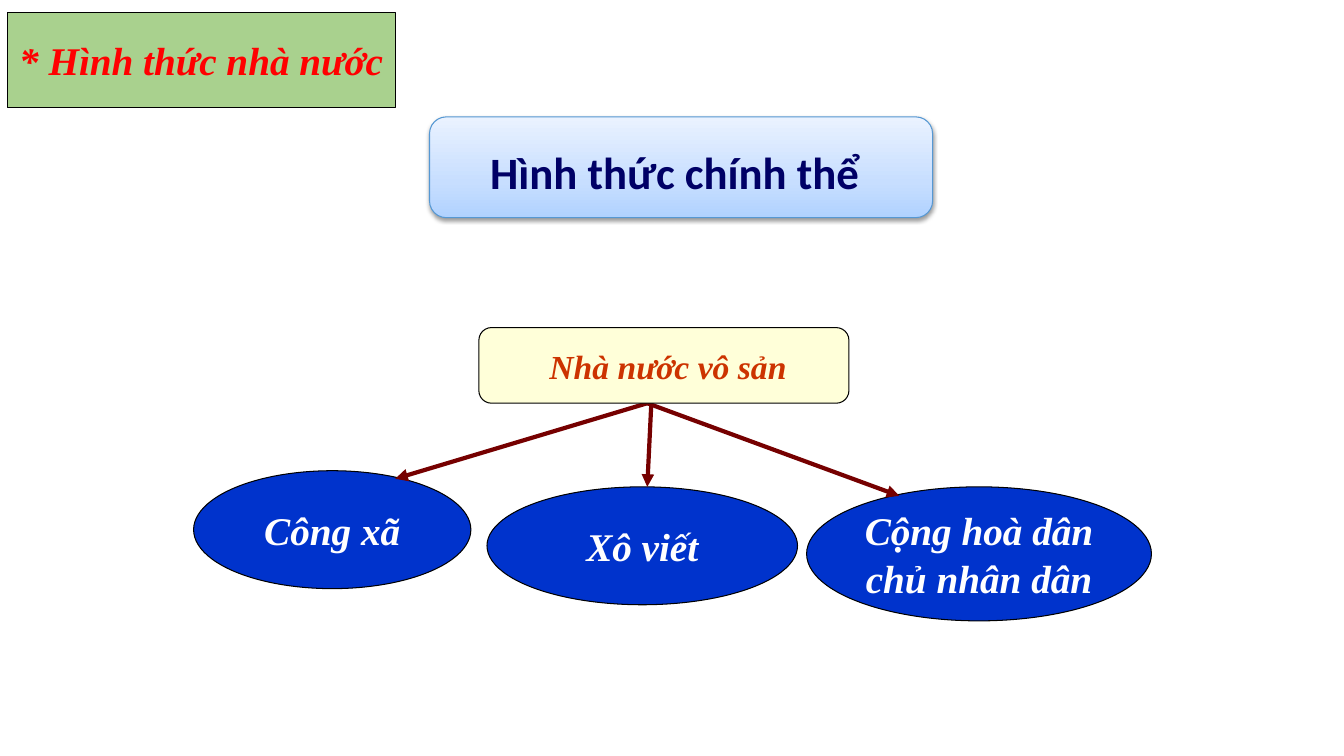
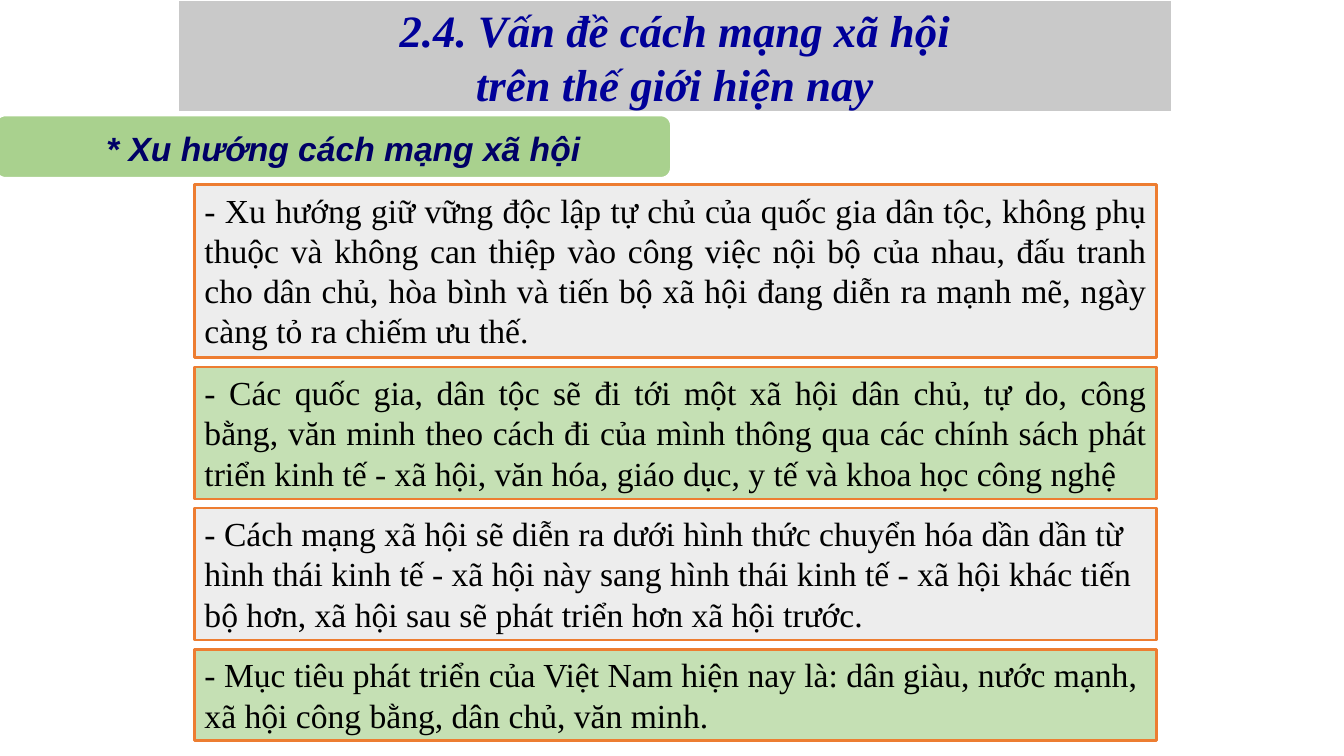
"""Build two slides on forms of the state and trends of social revolution."""
from copy import deepcopy
from dataclasses import dataclass

from lxml.etree import SubElement
from pptx import Presentation
from pptx.dml.color import RGBColor
from pptx.enum.shapes import MSO_CONNECTOR, MSO_SHAPE as Preset
from pptx.enum.text import MSO_ANCHOR as Anchor, MSO_AUTO_SIZE as AutoSize, PP_ALIGN as Align
from pptx.oxml.ns import qn
from pptx.presentation import Presentation as Deck
from pptx.shapes.autoshape import Shape
from pptx.shapes.connector import Connector
from pptx.slide import Slide
from pptx.util import Emu, Inches, Pt

SERIF = "Times New Roman"
GREEN, PALE_GREEN, PALE_GRAY = "A9D18E", "C5E0B4", "EDEDED"
NAVY, WHITE, BLACK, ORANGE = "000066", "FFFFFF", "000000", "ED7D31"
TITLE_ONLY = 5


@dataclass(frozen=True)
class Frame:
    """Place of an element in inches."""
    left: float
    top: float
    width: float
    height: float

    def lengths(self) -> tuple[Emu, ...]:
        """Return the four lengths for a shape."""
        return tuple(Inches(v) for v in (self.left, self.top, self.width, self.height))


@dataclass(frozen=True)
class Look:
    """Fill, outline and text format of a box."""
    fill: str
    line: str
    line_width: float
    size: int
    color: str
    font: str = SERIF
    bold: bool = True
    italic: bool = True
    align: Align = Align.CENTER
    anchor: Anchor = Anchor.MIDDLE
    wrap: bool = False
    insets: tuple[float, float, float, float] = (0.1, 0.05, 0.1, 0.05)


@dataclass(frozen=True)
class Oval:
    """A kind of proletarian state and the arrow that leads to it."""
    lines: tuple[str, ...]
    frame: Frame
    arrow_start: tuple[float, float]
    arrow_end: tuple[float, float]


@dataclass(frozen=True)
class Panel:
    """One trend statement."""
    text: str
    height: float
    fill: str
    align: Align


FORM_TITLE = Look(GREEN, BLACK, 0.75, 28, "FF0000")
POLITY = Look("C7DEFF", "5698D3", 0.75, 32, NAVY, "Calibri", italic=False,
              insets=(0.1, 0.13, 0.22, 0.05))
STATE = Look("FFFFD9", BLACK, 0.75, 24, "CC3300", insets=(0.18, 0.07, 0.1, 0.05))
OVAL = Look("0033CC", BLACK, 0.75, 28, WHITE)
TREND_TITLE = Look("C9C9C9", WHITE, 2, 32, "000099", wrap=True, insets=(0.24, 0, 0.24, 0))
TREND_HEADING = Look(GREEN, WHITE, 2, 24, NAVY, "Arial", wrap=True,
                     insets=(0.44, 0.03, 0.24, 0))

OVALS = (
    Oval(("Công xã",), Frame(1.92, 4.67, 2.75, 1.17), (6.42, 4), (3.92, 4.75)),
    Oval(("Xô viết",), Frame(4.83, 4.83, 3.08, 1.17), (6.46, 4), (6.42, 4.83)),
    Oval(("Cộng hoà dân", "chủ nhân dân"), Frame(8, 4.83, 3.42, 1.33), (6.42, 4), (8.92, 4.92)),
)
PANELS = (
    Panel("- Xu hướng giữ vững độc lập tự chủ của quốc gia dân tộc, không phụ thuộc và không "
          "can thiệp vào công việc nội bộ của nhau, đấu tranh cho dân chủ, hòa bình và tiến bộ "
          "xã hội đang diễn ra mạnh mẽ, ngày càng tỏ ra chiếm ưu thế.",
          1.72, PALE_GRAY, Align.JUSTIFY),
    Panel("- Các quốc gia, dân tộc sẽ đi tới một xã hội dân chủ, tự do, công bằng, văn minh "
          "theo cách đi của mình thông qua các chính sách phát triển kinh tế - xã hội, văn hóa, "
          "giáo dục, y tế và khoa học công nghệ",
          1.31, PALE_GREEN, Align.JUSTIFY),
    Panel("- Cách mạng xã hội sẽ diễn ra dưới hình thức chuyển hóa dần dần từ hình thái kinh tế "
          "- xã hội này sang hình thái kinh tế - xã hội khác tiến bộ hơn, xã hội sau sẽ phát "
          "triển hơn xã hội trước.",
          1.31, PALE_GRAY, Align.LEFT),
    Panel("- Mục tiêu phát triển của Việt Nam hiện nay là: dân giàu, nước mạnh, xã hội công "
          "bằng, dân chủ, văn minh.",
          0.91, PALE_GREEN, Align.LEFT),
)
PANEL_LEFT, PANEL_TOP, PANEL_WIDTH, PANEL_GAP = 1.93, 1.83, 9.54, 0.09


def rgb(color: str) -> RGBColor:
    """Turn a hex string into a colour."""
    return RGBColor.from_string(color)


def dress(box: Shape, look: Look, lines: tuple[str, ...]) -> None:
    """Apply a look to a box and write its lines."""
    box.shadow.inherit = False
    box.fill.solid()
    box.fill.fore_color.rgb = rgb(look.fill)
    box.line.color.rgb = rgb(look.line)
    box.line.width = Pt(look.line_width)
    frame = box.text_frame
    frame.auto_size = AutoSize.NONE
    frame.word_wrap = look.wrap
    frame.vertical_anchor = look.anchor
    (frame.margin_left, frame.margin_top,
     frame.margin_right, frame.margin_bottom) = (Inches(v) for v in look.insets)
    for index, line in enumerate(lines):
        paragraph = frame.add_paragraph() if index else frame.paragraphs[0]
        paragraph.alignment = look.align
        run = paragraph.add_run()
        run.text = line
        font = run.font
        font.name, font.size = look.font, Pt(look.size)
        font.bold, font.italic = look.bold, look.italic
        font.color.rgb = rgb(look.color)


def add_box(slide: Slide, preset: Preset, frame: Frame, look: Look, *lines: str) -> Shape:
    """Add a preset shape with text."""
    box = slide.shapes.add_shape(preset, *frame.lengths())
    dress(box, look, lines)
    return box


def add_titled_slide(deck: Deck, frame: Frame, look: Look, *lines: str) -> Slide:
    """Add a slide whose title placeholder is a rounded band."""
    slide = deck.slides.add_slide(deck.slide_layouts[TITLE_ONLY])
    title = slide.shapes.title
    title.left, title.top, title.width, title.height = frame.lengths()
    outline = SubElement(title._element.spPr, qn("a:prstGeom"), prst="roundRect")
    SubElement(outline, qn("a:avLst"))
    dress(title, look, lines)
    return slide


def add_gloss(box: Shape) -> None:
    """Give a box a blue gradient and a soft shadow."""
    box.fill.gradient()
    box.fill.gradient_angle = 90
    properties = box._element.spPr
    stops = properties.find(".//" + qn("a:gsLst"))
    stops.insert(1, deepcopy(stops[0]))
    shades = ((0, "B0D2FF"), (0.35, "C7DEFF"), (1, "EAF2FF"))
    for stop, (position, color) in zip(box.fill.gradient_stops, shades):
        stop.position = position
        stop.color.rgb = rgb(color)
    shadow = SubElement(properties.find(qn("a:effectLst")), qn("a:outerShdw"),
                        blurRad=str(Pt(3.1)), dist=str(Pt(1.6)), dir="5400000", rotWithShape="0")
    tint = SubElement(shadow, qn("a:srgbClr"), val=BLACK)
    SubElement(tint, qn("a:alpha"), val="38000")


def add_arrow(slide: Slide, start: tuple[float, float], end: tuple[float, float]) -> Connector:
    """Add a dark red arrow."""
    ends = (Inches(v) for v in (*start, *end))
    arrow = slide.shapes.add_connector(MSO_CONNECTOR.STRAIGHT, *ends)
    arrow.line.color.rgb = rgb("760000")
    arrow.line.width = Pt(3)
    SubElement(arrow.line._get_or_add_ln(), qn("a:tailEnd"), type="triangle")
    SubElement(arrow._element.spPr, qn("a:effectLst"))
    return arrow


def build_state_forms(deck: Deck) -> None:
    """Draw the tree of proletarian state forms."""
    slide = add_titled_slide(deck, Frame(0.07, 0.12, 3.85, 0.95), FORM_TITLE,
                             "* Hình thức nhà nước")
    polity = add_box(slide, Preset.ROUNDED_RECTANGLE, Frame(4.26, 1.16, 4.99, 1), POLITY,
                     "Hình thức chính thể")
    add_gloss(polity)
    for oval in OVALS:
        add_box(slide, Preset.OVAL, oval.frame, OVAL, *oval.lines)
    for oval in OVALS:
        add_arrow(slide, oval.arrow_start, oval.arrow_end)
    add_box(slide, Preset.ROUNDED_RECTANGLE, Frame(4.75, 3.25, 3.67, 0.75), STATE,
            "Nhà nước vô sản")


def build_trends(deck: Deck) -> None:
    """Draw the stacked trend statements."""
    slide = add_titled_slide(deck, Frame(1.76, 0, 9.87, 1.12), TREND_TITLE,
                             "2.4. Vấn đề cách mạng xã hội", "trên thế giới hiện nay")
    add_box(slide, Preset.ROUNDED_RECTANGLE, Frame(-0.05, 1.14, 6.71, 0.63), TREND_HEADING,
            "* Xu hướng cách mạng xã hội")
    top = PANEL_TOP
    for panel in PANELS:
        look = Look(panel.fill, ORANGE, 2, 24, BLACK, bold=False, italic=False,
                    align=panel.align, anchor=Anchor.TOP, wrap=True)
        add_box(slide, Preset.RECTANGLE, Frame(PANEL_LEFT, top, PANEL_WIDTH, panel.height),
                look, panel.text)
        top += panel.height + PANEL_GAP


def main() -> None:
    """Build and save the deck."""
    deck = Presentation()
    deck.slide_width, deck.slide_height = Inches(13.33), Inches(7.5)
    build_state_forms(deck)
    build_trends(deck)
    deck.save("out.pptx")


if __name__ == "__main__":
    main()
